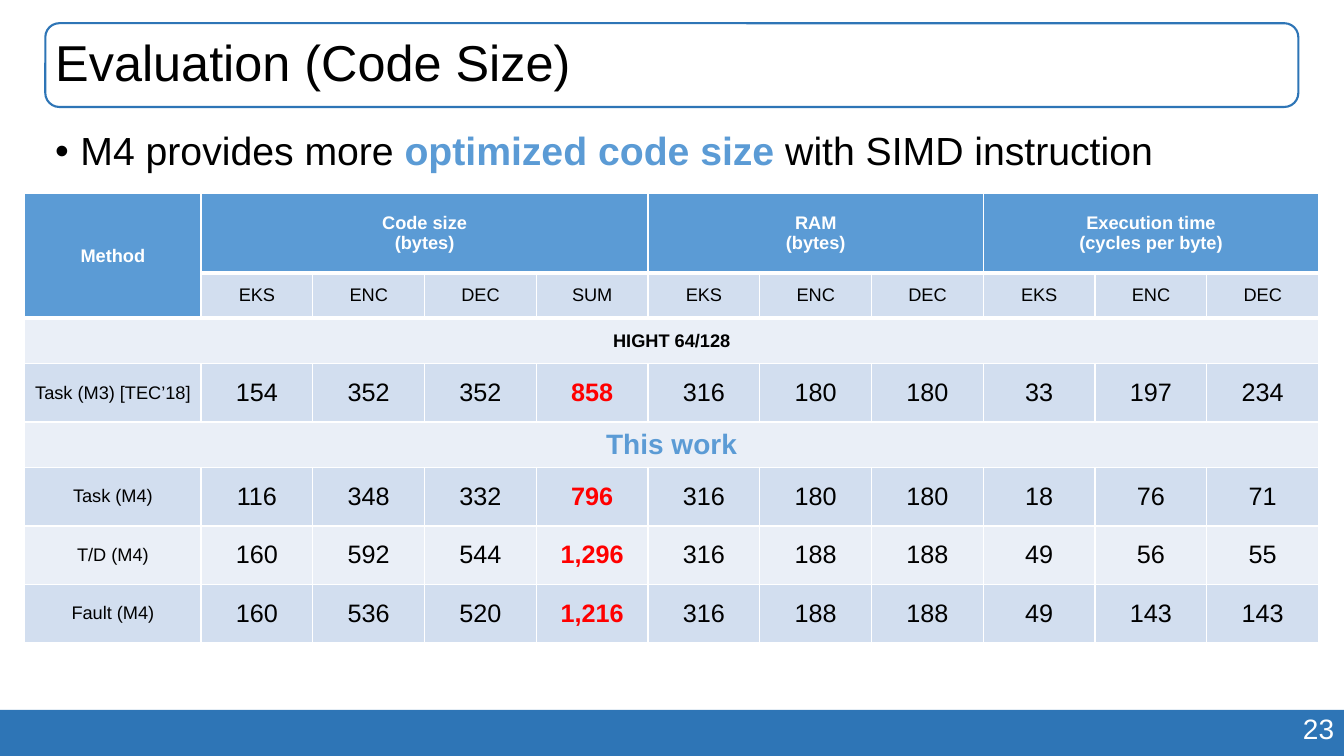
from lxml import etree
from pptx import Presentation
from pptx.dml.color import RGBColor
from pptx.enum import shapes, text
from pptx.oxml import ns
from pptx.util import Pt

FONT = "Arial"
BLACK = RGBColor(0x00, 0x00, 0x00)
WHITE = RGBColor(0xFF, 0xFF, 0xFF)
RED = RGBColor(0xFF, 0x00, 0x00)
DEEP_BLUE = RGBColor(0x2E, 0x75, 0xB6)
BLUE = RGBColor(0x5B, 0x9B, 0xD5)
BAND = RGBColor(0xD2, 0xDE, 0xEF)
PALE_BAND = RGBColor(0xEA, 0xEF, 0xF7)

TITLE_AREA = (32.4, 16.6, 895, 59.8)
ROW_HEIGHTS = [56.6, 32.4, 32.4, 41.8, 32.4, 41.8, 41.8, 41.8]
METHOD_WIDTH, VALUE_WIDTH = 126, 79.85
METRICS = [("Code size", "(bytes)", ["EKS", "ENC", "DEC", "SUM"]),
           ("RAM", "(bytes)", ["EKS", "ENC", "DEC"]),
           ("Execution time", "(cycles per byte)", ["EKS", "ENC", "DEC"])]
SUM_COLUMN = 4
SECTIONS = [(2, "HIGHT 64/128", 13, BLACK), (4, "This work", 20, BLUE)]
RESULTS = [
    (3, BAND, "Task (M3) [TEC’18]", "154 352 352 858 316 180 180 33 197 234"),
    (5, BAND, "Task (M4)", "116 348 332 796 316 180 180 18 76 71"),
    (6, PALE_BAND, "T/D (M4)", "160 592 544 1,296 316 188 188 49 56 55"),
    (7, BAND, "Fault (M4)", "160 536 520 1,216 316 188 188 49 143 143"),
]


def add_run(paragraph, words, size, color, bold=False):
    """Append one styled run to a paragraph."""
    run = paragraph.add_run()
    run.text = words
    run.font.name = FONT
    run.font.size = Pt(size)
    run.font.bold = bold
    run.font.color.rgb = color


def add_panel(slide, kind, area, fill=None, outline=None):
    """Draw a preset shape with an optional fill and outline."""
    panel = slide.shapes.add_shape(kind, *map(Pt, area))
    panel.shadow.inherit = False
    if fill is None:
        panel.fill.background()
    else:
        panel.fill.solid()
        panel.fill.fore_color.rgb = fill
    if outline is None:
        panel.line.fill.background()
    else:
        panel.line.color.rgb = outline
        panel.line.width = Pt(1.5)


def add_words(slide, area, runs, anchor=text.MSO_ANCHOR.TOP,
              align=text.PP_ALIGN.LEFT, spacing=None, bullet=False):
    """Add a one-paragraph text box built from styled runs."""
    frame = slide.shapes.add_textbox(*map(Pt, area)).text_frame
    frame.word_wrap = True
    frame.vertical_anchor = anchor
    paragraph = frame.paragraphs[0]
    paragraph.alignment = align
    paragraph.line_spacing = spacing
    if bullet:
        properties = paragraph._p.get_or_add_pPr()
        properties.set("marL", str(Pt(18)))
        properties.set("indent", str(Pt(-18)))
        etree.SubElement(properties, ns.qn("a:buFont"), typeface=FONT)
        etree.SubElement(properties, ns.qn("a:buChar"), char="•")
    for run in runs:
        add_run(paragraph, *run)


def set_borders(cell, top, bottom):
    """Give a cell white edges, with chosen top and bottom widths."""
    properties = cell._tc.get_or_add_tcPr()
    for edge, width in (("lnL", 1), ("lnR", 1), ("lnT", top), ("lnB", bottom)):
        line = etree.SubElement(properties, ns.qn("a:" + edge), w=str(Pt(width)))
        fill = etree.SubElement(line, ns.qn("a:solidFill"))
        etree.SubElement(fill, ns.qn("a:srgbClr"), val=str(WHITE))


def fill_cell(cell, fill, lines, size=13, color=BLACK, bold=False):
    """Fill a cell and write its centred lines."""
    cell.fill.solid()
    cell.fill.fore_color.rgb = fill
    cell.vertical_anchor = text.MSO_ANCHOR.MIDDLE
    cell.margin_left = cell.margin_right = Pt(5)
    cell.margin_top = cell.margin_bottom = Pt(2.9)
    frame = cell.text_frame
    for index, words in enumerate(lines):
        paragraph = frame.add_paragraph() if index else frame.paragraphs[0]
        paragraph.alignment = text.PP_ALIGN.CENTER
        add_run(paragraph, words, size, color, bold)


def add_headers(table):
    """Write the method, metric group and metric column headers."""
    table.cell(0, 0).merge(table.cell(1, 0))
    fill_cell(table.cell(0, 0), BLUE, ["Method"], color=WHITE, bold=True)
    column = 1
    for metric, unit, phases in METRICS:
        group = table.cell(0, column)
        group.merge(table.cell(0, column + len(phases) - 1))
        fill_cell(group, BLUE, [metric, unit], color=WHITE, bold=True)
        for phase in phases:
            fill_cell(table.cell(1, column), BAND, [phase])
            column += 1


def add_results(slide):
    """Build the table of code size, memory and execution time."""
    value_count = sum(len(phases) for _, _, phases in METRICS)
    widths = [METHOD_WIDTH] + [VALUE_WIDTH] * value_count
    area = (17.6, 138.3, sum(widths), sum(ROW_HEIGHTS))
    table = slide.shapes.add_table(len(ROW_HEIGHTS), len(widths),
                                   *map(Pt, area)).table
    for column, width in zip(table.columns, widths):
        column.width = Pt(width)
    for index, (row, height) in enumerate(zip(table.rows, ROW_HEIGHTS)):
        row.height = Pt(height)
        for cell in row.cells:
            set_borders(cell, 3 if index in (1, 2) else 1, 3 if index < 2 else 1)
    add_headers(table)
    for row, heading, size, color in SECTIONS:
        table.cell(row, 0).merge(table.cell(row, value_count))
        fill_cell(table.cell(row, 0), PALE_BAND, [heading], size, color, True)
    for row, band, method, values in RESULTS:
        fill_cell(table.cell(row, 0), band, [method])
        for column, value in enumerate(values.split(), 1):
            is_sum = column == SUM_COLUMN
            fill_cell(table.cell(row, column), band, [value], 18,
                      RED if is_sum else BLACK, is_sum)


def main():
    """Build and save the code size evaluation slide."""
    deck = Presentation()
    deck.slide_width, deck.slide_height = Pt(960), Pt(540)
    slide = deck.slides.add_slide(deck.slide_layouts[6])
    add_panel(slide, shapes.MSO_SHAPE.RECTANGLE, (0, 507, 960, 33), fill=DEEP_BLUE)
    add_words(slide, (679, 505, 281, 31.5), [("23", 20, WHITE)],
              align=text.PP_ALIGN.RIGHT)
    add_panel(slide, shapes.MSO_SHAPE.ROUNDED_RECTANGLE, TITLE_AREA,
              outline=DEEP_BLUE)
    add_words(slide, TITLE_AREA, [("Evaluation (Code Size)", 36, BLACK)],
              anchor=text.MSO_ANCHOR.MIDDLE, spacing=0.9)
    add_words(slide, (32.4, 90.7, 895, 398),
              [("M4 provides more ", 28, BLACK),
               ("optimized code size ", 28, BLUE, True),
               ("with SIMD instruction", 28, BLACK)],
              spacing=0.9, bullet=True)
    add_results(slide)
    deck.save("out.pptx")


if __name__ == "__main__":
    main()
